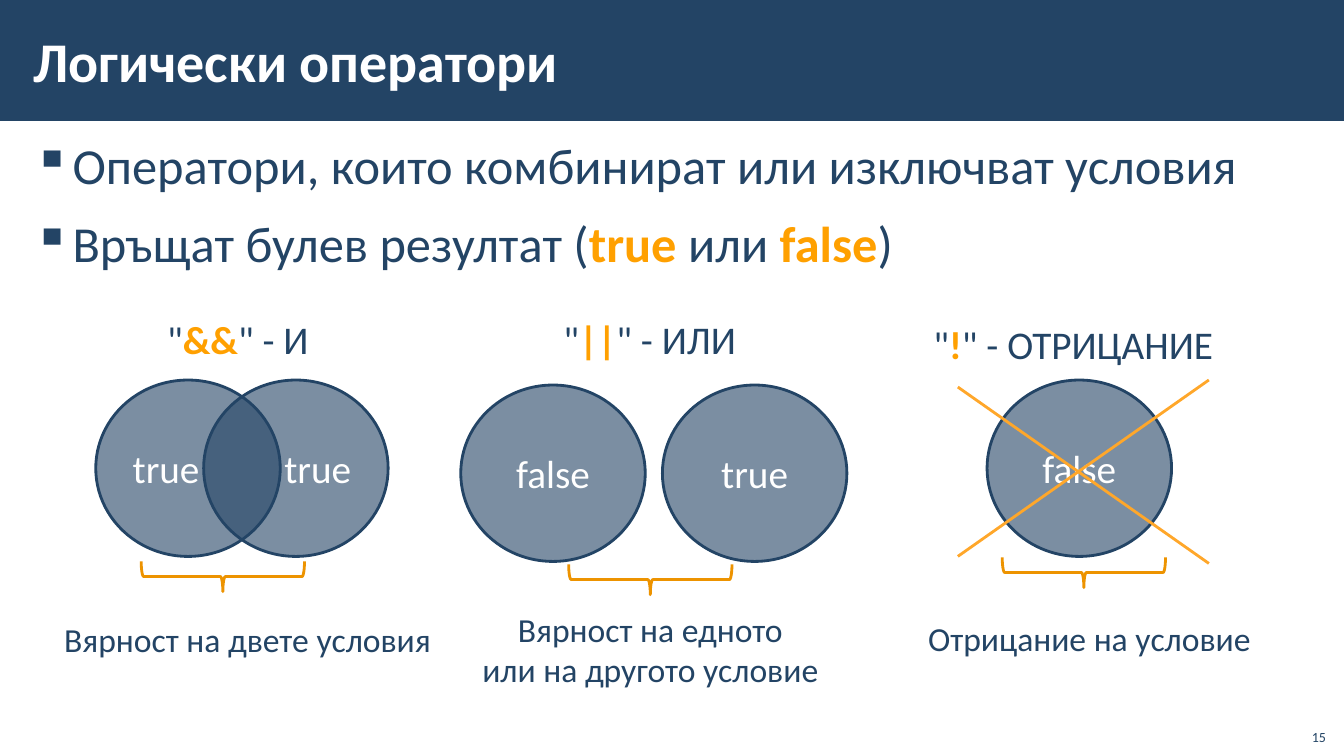
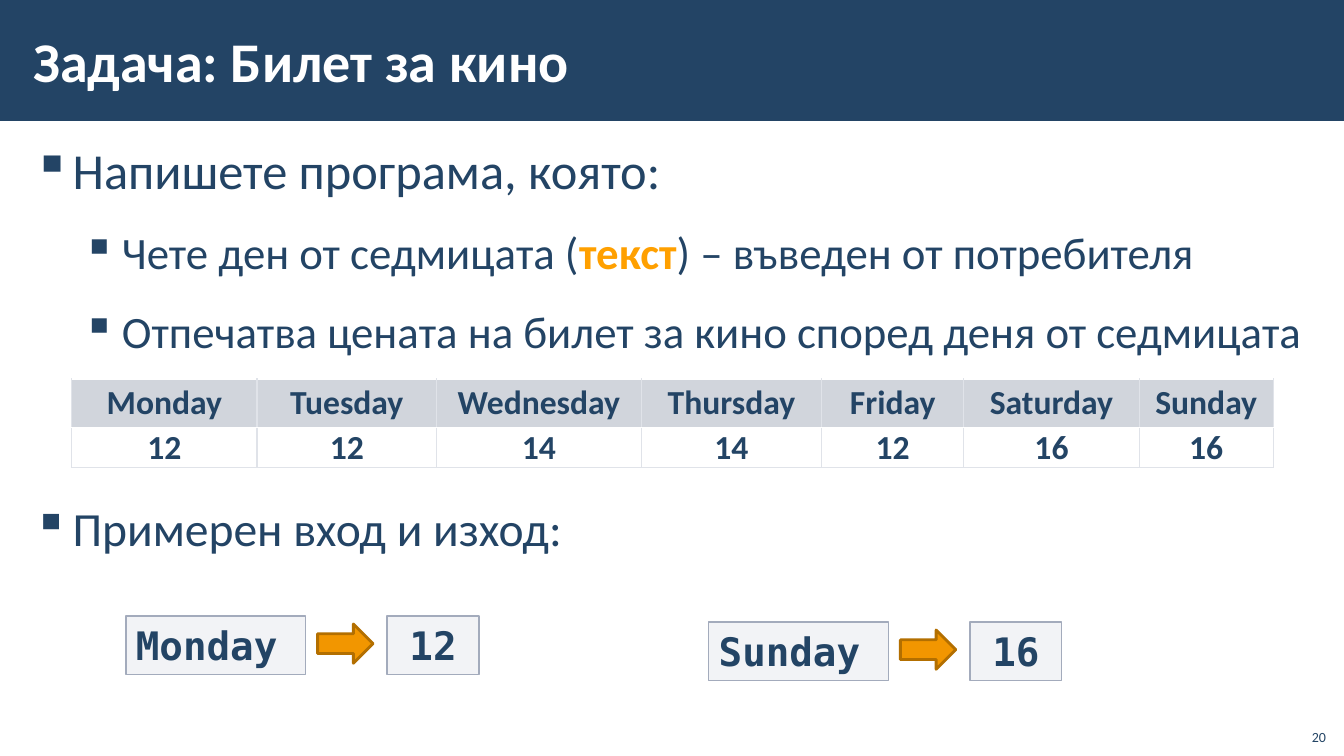
from lxml.etree import SubElement
from pptx import Presentation
from pptx.dml.color import RGBColor
from pptx.enum.shapes import MSO_CONNECTOR, MSO_SHAPE
from pptx.enum.text import MSO_ANCHOR, MSO_AUTO_SIZE, PP_ALIGN
from pptx.oxml.ns import qn
from pptx.util import Pt

EMU_PER_PX = 9144
NAVY, WHITE, ACCENT = "234465", "FFFFFF", "FFA000"
BRACE, CROSS = "ED9300", "FFA72A"
ARROW, ARROW_EDGE = "F29600", "B36F00"
BOX, BOX_EDGE = "C2C7D2", "A3ABBC"
HEADER, GRID = "67748E", "E0E3E9"
SANS, MONO = "Calibri", "DejaVu Sans Mono"


def px(*lengths):
    """Turn px lengths into a list of EMU."""
    return [round(length * EMU_PER_PX) for length in lengths]


def color(hex_code):
    """Turn a hex string into a colour."""
    return RGBColor.from_string(hex_code)


def paint(fill, properties, hex_code, opacity=100):
    """Give a fill a solid colour, see-through below 100 percent."""
    fill.solid()
    fill.fore_color.rgb = color(hex_code)
    if opacity < 100:
        tint = properties.find(qn("a:solidFill"))[0]
        SubElement(tint, qn("a:alpha"), val=str(opacity * 1000))


class Deck:
    """Holds the shared style and the current slide."""

    def __init__(self):
        """Set up the wide page and its title-only layout."""
        self.presentation = Presentation()
        self.presentation.slide_width, self.presentation.slide_height = px(1333, 750)
        self.layout = self.presentation.slide_layouts[5]
        self.slide = None

    def start(self, title, number):
        """Begin a slide with its title and page number."""
        first = self.slide is None
        self.slide = self.presentation.slides.add_slide(self.layout)
        if first:
            band = self.shape(MSO_SHAPE.RECTANGLE, (0, 0, 1334, 120), NAVY)
            self.layout.shapes.element.insert(2, band.element)
        heading = self.slide.shapes.title
        heading.left, heading.top, heading.width, heading.height = px(21, 11, 1063, 97)
        frame = heading.text_frame
        self.body_frame(frame)
        frame.auto_size = MSO_AUTO_SIZE.NONE
        frame.vertical_anchor = MSO_ANCHOR.MIDDLE
        self.compose(frame.paragraphs[0], title, 40, WHITE, bold=True)
        self.label(number, (1285, 712, 40, 32), 10, PP_ALIGN.RIGHT,
                   wrap=True, anchor=MSO_ANCHOR.BOTTOM)

    def body_frame(self, frame):
        """Give a frame the insets of titles and body text."""
        frame.word_wrap = True
        frame.margin_left, frame.margin_top = px(12, 4)
        frame.margin_right, frame.margin_bottom = px(12, 4)

    def compose(self, paragraph, text, size, tone=NAVY, align=PP_ALIGN.LEFT,
                bold=False, face=SANS):
        """Fill a paragraph, with parts between asterisks in accent."""
        paragraph.alignment = align
        font = paragraph.font
        font.name, font.size, font.bold = face, Pt(size), bold
        font.color.rgb = color(tone)
        for index, part in enumerate(text.split("*")):
            run = paragraph.add_run()
            run.text = part
            if index % 2:
                run.font.bold = True
                run.font.color.rgb = color(ACCENT)

    def label(self, text, area, size, align=PP_ALIGN.LEFT, wrap=False,
              anchor=MSO_ANCHOR.TOP):
        """Place free text, one paragraph a line."""
        frame = self.slide.shapes.add_textbox(*px(*area)).text_frame
        frame.word_wrap = wrap
        frame.vertical_anchor = anchor
        if not wrap:
            frame.auto_size = MSO_AUTO_SIZE.SHAPE_TO_FIT_TEXT
        for index, line in enumerate(text.split("\n")):
            paragraph = frame.add_paragraph() if index else frame.paragraphs[0]
            self.compose(paragraph, line, size, align=align)

    def bullets(self, items, area, spacing, after=0):
        """Place a list of (text, size, indent, space before)."""
        frame = self.slide.shapes.add_textbox(*px(*area)).text_frame
        self.body_frame(frame)
        for index, (text, size, indent, before) in enumerate(items):
            paragraph = frame.add_paragraph() if index else frame.paragraphs[0]
            paragraph.line_spacing = spacing
            paragraph.space_before = Pt(before)
            paragraph.space_after = Pt(after)
            properties = paragraph._p.get_or_add_pPr()
            margin, hanging = px(indent, -39)
            properties.set("marL", str(margin))
            properties.set("indent", str(hanging))
            SubElement(properties, qn("a:buChar"), char="▪")
            self.compose(paragraph, text, size)

    def shape(self, kind, area, fill=None, opacity=100, edge=None, weight=2, turn=0):
        """Draw a preset shape without shadow."""
        shape = self.slide.shapes.add_shape(kind, *px(*area))
        shape.shadow.inherit = False
        shape.rotation = turn
        if fill:
            paint(shape.fill, shape.element.spPr, fill, opacity)
        else:
            shape.fill.background()
        if edge:
            shape.line.color.rgb = color(edge)
            shape.line.width = Pt(weight)
        else:
            shape.line.fill.background()
        return shape

    def circle(self, text, left, top, align=PP_ALIGN.CENTER):
        """Draw a see-through condition circle."""
        circle = self.shape(MSO_SHAPE.OVAL, (left, top, 183, 175), NAVY, 60, NAVY)
        self.compose(circle.text_frame.paragraphs[0], text, 28, WHITE, align)

    def brace(self, left, top):
        """Draw a brace that opens upwards."""
        self.shape(MSO_SHAPE.RIGHT_BRACE, (left, top, 30, 162), edge=BRACE, turn=90)

    def stroke(self, *ends):
        """Draw a straight line between two points."""
        line = self.slide.shapes.add_connector(MSO_CONNECTOR.STRAIGHT, *px(*ends))
        line.line.color.rgb = color(CROSS)
        line.line.width = Pt(2)
        SubElement(line.element.spPr, qn("a:effectLst"))

    def example(self, given, result, left, top):
        """Draw an input box, an arrow and an output box."""
        for text, offset, width, align in ((given, 0, 178, PP_ALIGN.LEFT),
                                           (result, 259, 91, PP_ALIGN.CENTER)):
            box = self.shape(MSO_SHAPE.RECTANGLE, (left + offset, top, width, 58),
                             BOX, 20, BOX_EDGE, 1)
            self.compose(box.text_frame.paragraphs[0], text, 28, align=align,
                         bold=True, face=MONO)
        self.shape(MSO_SHAPE.RIGHT_ARROW, (left + 190, top + 8, 55, 39),
                   ARROW, edge=ARROW_EDGE)

    def table(self, rows, left, top, widths, heights):
        """Place a table with a tinted header row."""
        area = px(left, top, sum(widths), sum(heights))
        table = self.slide.shapes.add_table(len(rows), len(widths), *area).table
        table.first_row = table.horz_banding = False
        for column, width in zip(table.columns, px(*widths)):
            column.width = width
        for row, height in zip(table.rows, px(*heights)):
            row.height = height
        for row_index, row in enumerate(rows):
            for column_index, text in enumerate(row):
                self.cell(table.cell(row_index, column_index), text, row_index == 0)

    def cell(self, cell, text, header):
        """Fill and frame one table cell."""
        cell.vertical_anchor = MSO_ANCHOR.MIDDLE
        cell.margin_left, cell.margin_right = px(7, 7)
        cell.margin_top = cell.margin_bottom = 0
        self.compose(cell.text_frame.paragraphs[0], text, 24,
                     align=PP_ALIGN.CENTER, bold=True)
        properties = cell._tc.get_or_add_tcPr()
        borders = {"L": GRID, "R": GRID}
        borders.update({"B": WHITE} if header else {"T": WHITE, "B": GRID})
        for side, tone in borders.items():
            border = SubElement(properties, qn(f"a:ln{side}"), w=str(Pt(1)))
            solid = SubElement(border, qn("a:solidFill"))
            SubElement(solid, qn("a:srgbClr"), val=tone)
        if header:
            paint(cell.fill, properties, HEADER, 30)
        else:
            cell.fill.background()


def logical_operators(deck):
    """Build the slide on logical operators."""
    deck.start("Логически оператори", "15")
    deck.bullets([("Оператори, които комбинират или изключват условия", 36, 39, 0),
                  ("Връщат булев резултат (*true* или *false*)", 36, 39, 6)],
                 (21, 120, 1291, 609), 1.15)
    for text, left, top, align in (("true", 95, 377, PP_ALIGN.LEFT),
                                   ("true", 202, 377, PP_ALIGN.RIGHT),
                                   ("false", 457, 382, PP_ALIGN.CENTER),
                                   ("true", 657, 382, PP_ALIGN.CENTER),
                                   ("false", 979, 377, PP_ALIGN.CENTER)):
        deck.circle(text, left, top, align)
    for operator, left, top, width in (('"*&&*" - И', 156, 308, 162),
                                       ('"*||*" - ИЛИ', 549, 308, 192),
                                       ('"*!*" - ОТРИЦАНИЕ', 916, 313, 310)):
        deck.label(operator, (left, top, width, 57), 28)
    for meaning, area in (
            ("Вярност на двете условия", (52, 609, 387, 50)),
            ("Вярност на едното\nили на другото условие", (467, 599, 356, 91)),
            ("Отрицание на условие", (909, 608, 343, 50))):
        deck.label(meaning, area, 24, PP_ALIGN.CENTER)
    for left, top in ((206, 491), (630, 494), (1060, 487)):
        deck.brace(left, top)
    deck.stroke(1199, 377, 950, 552)
    deck.stroke(1199, 559, 950, 384)


def cinema_ticket(deck):
    """Build the slide with the cinema ticket task."""
    deck.start("Задача: Билет за кино", "20")
    deck.bullets([
        ("Напишете програма, която:", 36, 39, 0),
        ("Чете ден от седмицата (*текст*) – въведен от потребителя", 32, 88, 10),
        ("Отпечатва цената на билет за кино според деня от седмицата", 32, 88, 10),
        ("Примерен вход и изход:", 34, 39, 93)],
        (21, 131, 1292, 605), 1.05, 6)
    prices = {"Monday": "12", "Tuesday": "12", "Wednesday": "14", "Thursday": "14",
              "Friday": "12", "Saturday": "16", "Sunday": "16"}
    deck.table([prices.keys(), prices.values()], 71, 376,
               (184, 178, 203, 179, 141, 174, 133), (48, 40))
    for day, left, top in (("Monday", 125, 611), ("Sunday", 703, 617)):
        deck.example(day, prices[day], left, top)


def main():
    """Build and save the deck."""
    deck = Deck()
    logical_operators(deck)
    cinema_ticket(deck)
    deck.presentation.save("out.pptx")


if __name__ == "__main__":
    main()
